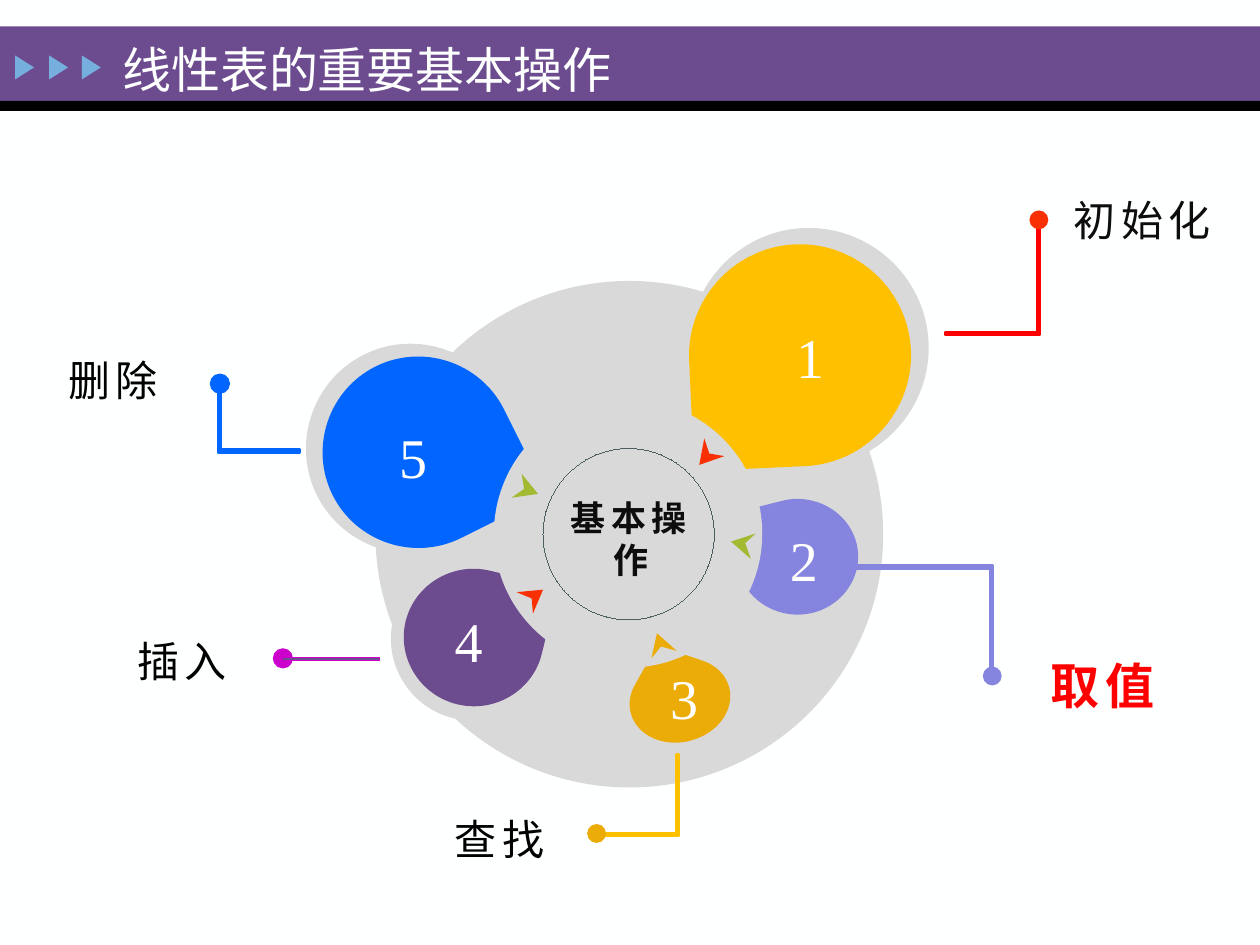
from pptx import Presentation
from pptx.dml.color import RGBColor
from pptx.enum.shapes import MSO_SHAPE
from pptx.enum.text import MSO_ANCHOR, MSO_AUTO_SIZE, PP_ALIGN
from pptx.oxml.ns import qn
from pptx.util import Inches, Pt

WHITE = RGBColor(0xFE, 0xFF, 0xFF)
PURE = RGBColor(0xFF, 0xFF, 0xFF)
BLACK = RGBColor(0, 0, 0)
INK = RGBColor(0x0D, 0x0D, 0x0D)
GRAY = RGBColor(0xD9, 0xD9, 0xD9)
SLATE = RGBColor(0x4C, 0x60, 0x62)
PURPLE = RGBColor(0x6C, 0x4C, 0x8F)
SKY = RGBColor(0x76, 0xAE, 0xDD)
BLUE = RGBColor(0x00, 0x66, 0xFF)
GOLD = RGBColor(0xFF, 0xC0, 0x00)
AMBER = RGBColor(0xEB, 0xAC, 0x07)
LILAC = RGBColor(0x85, 0x85, 0xE0)
RED = RGBColor(0xFF, 0x00, 0x00)
FLAME = RGBColor(0xF8, 0x30, 0x03)
GREEN = RGBColor(0xA2, 0xB9, 0x32)
PINK = RGBColor(0xCC, 0x00, 0xCC)
FONT = "Times New Roman"
ARC = 0.55  # Bezier handle length for a quarter ellipse

prs = Presentation()
prs.slide_width, prs.slide_height = Inches(10), Inches(7.5)
slide = prs.slides.add_slide(prs.slide_layouts[5])
slide.background.fill.solid()
slide.background.fill.fore_color.rgb = WHITE
shapes = slide.shapes


def add(kind, box, fill=None, line=None, width=0.75):
    """Add a preset shape, or a closed freeform when kind is None and box holds points."""
    if kind is None:
        pts = [(Inches(x), Inches(y)) for x, y in box]
        form = shapes.build_freeform(*pts[0])
        form.add_line_segments(pts[1:])
        shape = form.convert_to_shape()
    else:
        shape = shapes.add_shape(kind, *map(Inches, box))
    shape.shadow.inherit = False
    if fill is None:
        shape.fill.background()
    else:
        shape.fill.solid()
        shape.fill.fore_color.rgb = fill
    if line is None:
        shape.line.fill.background()
    else:
        shape.line.color.rgb = line
        shape.line.width = Pt(width)
    return shape


def style(para, size, color, bold=False, gap=0):
    font = para.runs[0].font
    font.name, font.size, font.bold = FONT, Pt(size), bold
    font.color.rgb = color
    if gap:
        para.runs[0]._r.get_or_add_rPr().set("spc", str(gap * 100))


# Title bar
add(MSO_SHAPE.RECTANGLE, (0, 0.21, 10, 0.59), PURPLE)
add(MSO_SHAPE.RECTANGLE, (0, 0.8, 10, 0.08), BLACK)
for left in (0.1, 0.37, 0.63):
    add(MSO_SHAPE.ISOSCELES_TRIANGLE, (left, 0.46, 0.19, 0.15), SKY).rotation = 90

title = shapes.title
title.left, title.top = Inches(0.69), Inches(0.25)
title.width, title.height = Inches(4.99), Inches(0.6)
frame = title.text_frame
frame.text = "线性表的重要基本操作"
frame.vertical_anchor = MSO_ANCHOR.MIDDLE
frame.margin_left = Inches(0.28)
frame.paragraphs[0].alignment = PP_ALIGN.LEFT
style(frame.paragraphs[0], 28, WHITE)
shapes._spTree.append(title._element)

# Petals: centre, two half axes whose sum leads to the tip, colour, rotation
petals = [
    ((6.42, 2.76), (-0.95, 0.04), (0.04, 0.95), GRAY, 0),
    ((3.26, 3.56), (0.36, 0.75), (0.75, -0.36), GRAY, 0),
    ((3.75, 5.07), (0.64, 0.1), (0.1, -0.64), GRAY, 0),
    ((3.76, 5.06), (0.54, 0.13), (0.13, -0.53), PURPLE, 0),
    ((3.32, 3.59), (0.34, 0.68), (0.68, -0.34), BLUE, 0),
    ((6.35, 2.82), (-0.88, 0.04), (0.04, 0.88), GOLD, 0),
    ((6.33, 4.42), (-0.48, 0.01), (-0.02, -0.46), LILAC, 346.9),
    ((5.38, 5.56), (0.27, -0.24), (-0.3, -0.23), AMBER, 340.9),
]
for num, ((cx, cy), (ux, uy), (vx, vy), color, turn) in enumerate(petals):
    ends = [(vx, vy), (-ux, -uy), (-vx, -vy), (ux, uy)]
    pts = [ends[0]]
    for (ax, ay), (bx, by) in zip(ends, ends[1:]):
        pts += [(ax + ARC * bx, ay + ARC * by), (bx + ARC * ax, by + ARC * ay), (bx, by)]
    pts.append((ux + vx, uy + vy))
    petal = add(None, [(cx + x, cy + y) for x, y in pts], color)
    petal.rotation = turn
    segs = list(petal._element.iter(qn("a:lnTo")))
    for i in (0, 3, 6):
        segs[i].tag = qn("a:cubicBezTo")
        for seg in segs[i + 1:i + 3]:
            segs[i].append(seg[0])
            seg.getparent().remove(seg)
    if num == 2:
        add(MSO_SHAPE.OVAL, (2.98, 2.23, 4.03, 4.02), GRAY)

# Hub and the darts around it
add(MSO_SHAPE.OVAL, (3.92, 3.17, 2.13, 2.13), GRAY)
darts = [
    ([(4.1, 4.7), (4.31, 4.68), (4.23, 4.87), (4.22, 4.75)], FLAME, 0),
    ([(4.14, 3.76), (4.27, 3.92), (4.06, 3.95), (4.16, 3.88)], GREEN, 0),
    ([(5.75, 3.62), (5.55, 3.69), (5.59, 3.48), (5.63, 3.6)], FLAME, 0),
    ([(5.9, 4.43), (5.84, 4.23), (6.04, 4.28), (5.93, 4.3)], GREEN, 327.9),
    ([(5.14, 5.2), (5.24, 5.02), (5.35, 5.2), (5.24, 5.13)], AMBER, 343.4),
]
for pts, color, turn in darts:
    add(None, pts, color).rotation = turn
ring = add(MSO_SHAPE.OVAL, (4.31, 3.56, 1.36, 1.36), None, SLATE)
ring.line._ln.set("w", "0")

# Leaders: an upright from (x, top) to a corner, then a level bar to the far end
leads = [
    (8.25, 1.7, 2.66, 7.5, RED),
    (7.88, 5.3, 4.49, 6.51, LILAC),
    (5.39, 5.99, 6.63, 4.72, GOLD),
    (1.73, 3.01, 3.59, 2.38, BLUE),
]
for x, start, y, end, color in leads:
    inx = x + (0.02 if end > x else -0.02)
    iny = y + (0.02 if start > y else -0.02)
    pts = [(x, y), (end, y), (end, iny), (inx, iny), (inx, start), (x, start)]
    add(None, pts, color, color, 1.5)
dots = [
    (8.17, 1.67, FLAME, None),
    (7.8, 5.29, LILAC, None),
    (4.66, 6.54, AMBER, None),
    (2.17, 5.15, PINK, PINK),
    (1.67, 2.97, BLUE, BLUE),
]
for left, top, color, line in dots:
    add(MSO_SHAPE.OVAL, (left, top, 0.15, 0.15), color, line)
add(MSO_SHAPE.RECTANGLE, (2.24, 5.22, 0.77, 0.02), PURPLE, PINK)

# Labels: text, box, size, colour, bold
labels = [
    ("基本操作", (4.35, 3.87, 1.32, 0.81), 20, INK, True),
    ("初始化", (8.36, 1.47, 1.41, 0.54), 24, INK, False),
    ("查找", (3.45, 6.39, 1.03, 0.54), 24, BLACK, False),
    ("插入", (0.93, 4.97, 1.03, 0.54), 24, BLACK, False),
    ("取值", (8.18, 5.13, 1.14, 0.61), 28, RED, True),
    ("删除", (0.38, 2.74, 1.03, 0.54), 24, BLACK, False),
]
spots = [(6.16, 2.49), (6.11, 4.1), (5.16, 5.2), (3.45, 4.74), (3.01, 3.28)]
for num, spot in enumerate(spots, 1):
    labels.append((str(num), (*spot, 0.54, 0.67), 32, PURE, False))
for text, box, size, color, bold in labels:
    frame = shapes.add_textbox(*map(Inches, box)).text_frame
    frame.text = text
    frame.word_wrap = text == "基本操作"
    frame.auto_size = MSO_AUTO_SIZE.SHAPE_TO_FIT_TEXT
    frame.margin_left = frame.margin_right = Inches(0.13)
    frame.margin_top = frame.margin_bottom = Inches(0.07)
    frame.paragraphs[0].alignment = PP_ALIGN.CENTER
    style(frame.paragraphs[0], size, color, bold, 3)

prs.save("out.pptx")
